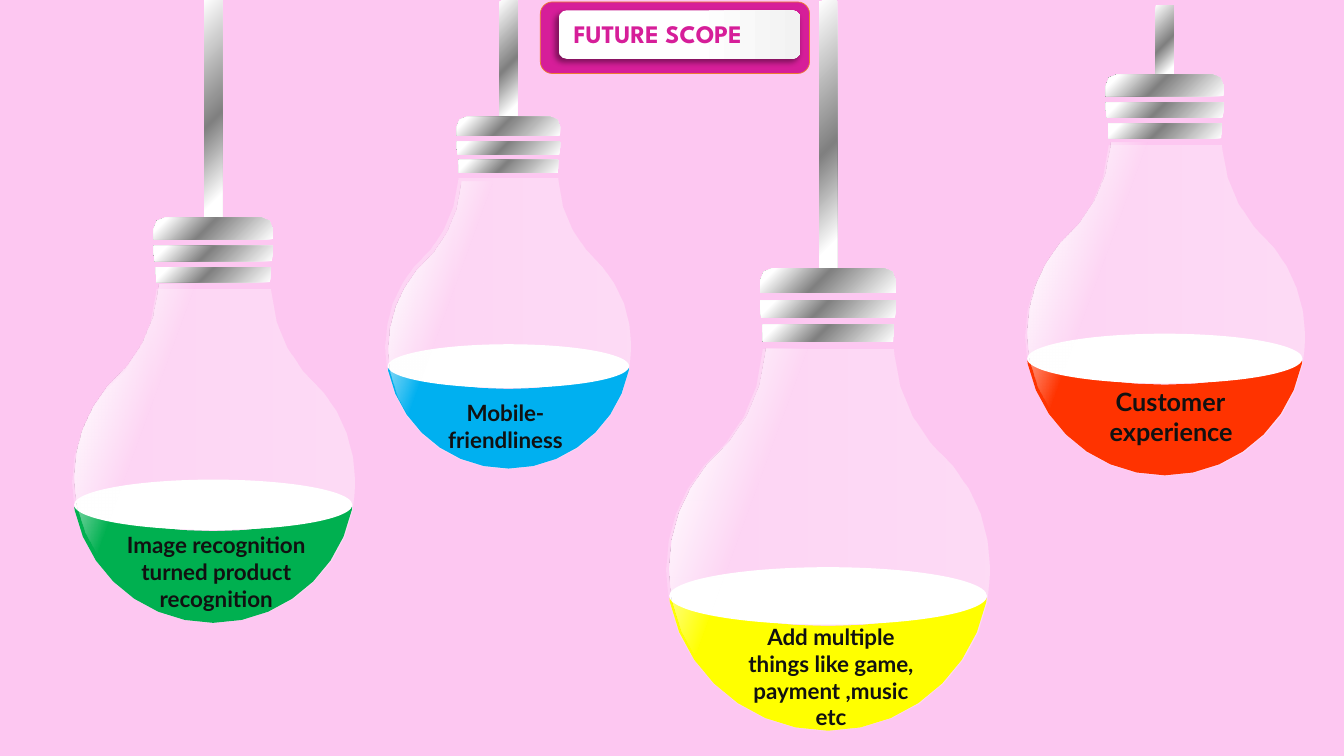
from dataclasses import dataclass
from math import dist

from pptx import Presentation
from pptx.dml.color import RGBColor
from pptx.enum.shapes import MSO_SHAPE
from pptx.enum.text import MSO_ANCHOR, MSO_AUTO_SIZE, PP_ALIGN
from pptx.oxml import parse_xml
from pptx.oxml.ns import nsdecls, qn
from pptx.util import Pt

RECTANGLE, ROUNDED, OVAL = MSO_SHAPE.RECTANGLE, MSO_SHAPE.ROUNDED_RECTANGLE, MSO_SHAPE.OVAL
LEFT, CENTER = PP_ALIGN.LEFT, PP_ALIGN.CENTER
TOP, NO_AUTOFIT = MSO_ANCHOR.TOP, MSO_AUTO_SIZE.NONE


@dataclass(frozen=True)
class Theme:
    background: str = "FDC7F1"
    accent: str = "D61E99"
    border: str = "ED7D31"
    text: str = "111111"
    white: str = "FFFFFF"
    body_font: str = "Lato"
    title_font: str = "League Spartan"
    body_size: int = 16
    title_size: int = 18
    # Gradient stops: position %, colour, opacity %
    metal: tuple = ((0, "FFFFFF", 100), (55, "808080", 100), (90, "FFFFFF", 100))
    glass: tuple = ((0, "FFFFFF", 37), (100, "FFFFFF", 24))
    shine: tuple = ((70, "FFFFFF", 0), (91, "FFFFFF", 100))
    plate: tuple = ((56, "FFFFFF", 100), (100, "F2F2F2", 100))


THEME = Theme()


@dataclass(frozen=True)
class Bulb:
    center: float
    rod_top: float
    cap_top: float
    width: float
    liquid: str
    label: str
    label_box: tuple
    shine_shift: float
    size: int = THEME.body_size
    align: int = CENTER


BULBS = (
    Bulb(152.3, -0.7, 155.5, 201.6, "00B050", "Image recognition turned product recognition",
         (59.8, 375.8, 189.4, 85), -3.5),
    Bulb(363.2, 0.7, 83.5, 175, "00B0F0", "Mobile-friendliness",
         (308.2, 281.5, 105.8, 65.5), 2),
    Bulb(591.5, 0.7, 191.5, 230.2, "FFFF00", "Add multiple things like game, payment ,music etc",
         (526.3, 441.4, 134.6, 104.4), -1),
    Bulb(832, 3.6, 53.3, 199.4, "FF3300", " Customer experience",
         (785.5, 272.2, 116.6, 51.1), -2, THEME.title_size, LEFT),
)

# Right halves of the bulb outlines, at the width below; a six-number step is a curve.
DESIGN_WIDTH = 201.6
GLASS_TOP = 51.1
BOWL = (48.6, 238.3, 89.6, 203.8, 99, 157.7)
GLASS = ((0, 238.3), BOWL, (100.1, 147.6), (100.8, 137.5),
         (100.8, 113, 92.2, 90.7, 77.4, 72.7), (63.4, 58.3),
         (51.1, 43.2, 42.5, 23.8, 41, 2.9), (40.7, 0))
LIQUID = ((0, 238.3), BOWL, (99.2, 155.5), (97.2, 156.2),
          (68.4, 167, 35.3, 172.8, 0, 172.8))
CAP_RINGS = (
    ((42.5, 15.5), (42.5, 7.9), (42.5, 3.5, 39, 0, 34.6, 0)),
    ((41.8, 31), (42.5, 25.2), (42.5, 20.2)),
    ((40.7, 46.1), (41, 35.3)),
)
CURVE_STEP = 18


def rgb(color):
    return RGBColor.from_string(color)


def paint(shape, fill, angle=0):
    """Fill with a colour or with gradient stops; no line, no shadow."""
    shape.shadow.inherit = False
    shape.line.fill.background()
    if isinstance(fill, str):
        shape.fill.solid()
        shape.fill.fore_color.rgb = rgb(fill)
        return
    stops = "".join(
        f'<a:gs pos="{position * 1000}"><a:srgbClr val="{color}">'
        f'<a:alpha val="{opacity * 1000}"/></a:srgbClr></a:gs>'
        for position, color, opacity in fill)
    shape.fill.gradient()
    properties = shape._element.spPr
    properties.replace(properties.find(qn("a:gradFill")), parse_xml(
        f'<a:gradFill {nsdecls("a")} rotWithShape="1"><a:gsLst>{stops}</a:gsLst>'
        f'<a:lin ang="{angle * 60000}" scaled="0"/></a:gradFill>'))


def add_preset(shapes, kind, box, fill, angle=0):
    shape = shapes.add_shape(kind, *map(Pt, box))
    paint(shape, fill, angle)
    return shape


def trace(half):
    """Turn a half outline into points, sampling its cubic curves."""
    points = [half[0]]
    for step in half[1:]:
        if len(step) == 2:
            points.append(step)
            continue
        controls = [points[-1], step[:2], step[2:4], step[4:]]
        count = max(2, round(dist(controls[0], controls[3]) / CURVE_STEP))
        for index in range(1, count + 1):
            t = index / count
            weights = ((1 - t) ** 3, 3 * t * (1 - t) ** 2, 3 * t * t * (1 - t), t ** 3)
            points.append(tuple(sum(weight * control[axis] for weight, control
                                    in zip(weights, controls)) for axis in (0, 1)))
    return points


def add_symmetric(shapes, half, center, top, scale, fill, angle=0):
    """Draw a half outline together with its mirror image."""
    right = trace(half)
    outline = right + [(-x, y) for x, y in reversed(right) if x > 0]
    points = [(Pt(center + x * scale), Pt(top + y * scale)) for x, y in outline]
    builder = shapes.build_freeform(*points[0], scale=1.0)
    builder.add_line_segments(points[1:], close=True)
    paint(builder.convert_to_shape(), fill, angle)


def write(shape, text, font_name, size, color, align):
    frame = shape.text_frame
    frame.word_wrap = True
    frame.auto_size = NO_AUTOFIT
    frame.vertical_anchor = TOP
    frame.margin_left = frame.margin_right = Pt(7.2)
    frame.margin_top = frame.margin_bottom = Pt(3.6)
    frame.text = text
    paragraph = frame.paragraphs[0]
    paragraph.alignment = align
    paragraph.line_spacing = 1.0
    font = paragraph.runs[0].font
    font.name, font.size, font.bold = font_name, Pt(size), True
    font.color.rgb = rgb(color)


def add_bulb(slide, bulb, rod_width=13):
    shapes = slide.shapes.add_group_shape().shapes
    scale = bulb.width / DESIGN_WIDTH
    center = bulb.center
    glass_top = bulb.cap_top + GLASS_TOP * scale
    add_preset(shapes, RECTANGLE, (center - rod_width / 2, bulb.rod_top, rod_width,
                                   bulb.cap_top - bulb.rod_top), THEME.metal, 45)
    add_symmetric(shapes, GLASS, center, glass_top, scale, THEME.glass, 180)
    for ring in CAP_RINGS:
        add_symmetric(shapes, ring, center, bulb.cap_top, scale, THEME.metal, 225)
    add_symmetric(shapes, LIQUID, center, glass_top, scale, bulb.liquid)
    add_preset(shapes, OVAL, (center - 99.4 * scale, glass_top + 136 * scale,
                              198.8 * scale, 36 * scale), THEME.white)
    add_symmetric(shapes, GLASS, center + 2, glass_top + bulb.shine_shift, scale,
                  THEME.shine, 200)
    label = shapes.add_textbox(*map(Pt, bulb.label_box))
    write(label, bulb.label, THEME.body_font, bulb.size, THEME.text, bulb.align)


def add_title_plate(slide, left, top, width, height):
    frame = add_preset(slide.shapes, ROUNDED, (left, top, width, height), THEME.accent)
    frame.line.color.rgb = rgb(THEME.border)
    frame.line.width = Pt(0.5)
    plate = add_preset(slide.shapes, ROUNDED, (left + 13, top + 6, width - 19.5, height - 16.5),
                       THEME.plate)
    plate._element.spPr.find(qn("a:effectLst")).append(parse_xml(
        f'<a:outerShdw {nsdecls("a")} blurRad="{Pt(4)}" dist="{Pt(3)}" dir="8100000" '
        'algn="tr" rotWithShape="0"><a:srgbClr val="000000"><a:alpha val="40000"/>'
        '</a:srgbClr></a:outerShdw>'))
    title = slide.shapes.title
    title.left, title.top, title.width, title.height = map(
        Pt, (left + 16.5, top + 8, width - 19.5, 29))
    write(title, "FUTURE SCOPE", THEME.title_font, THEME.title_size, THEME.accent, LEFT)
    plate._element.addnext(title._element)


def main():
    presentation = Presentation()
    presentation.slide_width, presentation.slide_height = Pt(960), Pt(540)
    slide = presentation.slides.add_slide(presentation.slide_layouts[5])
    slide.background.fill.solid()
    slide.background.fill.fore_color.rgb = rgb(THEME.background)
    for bulb in BULBS:
        add_bulb(slide, bulb)
    add_title_plate(slide, 386, 1.4, 192.3, 51.1)
    presentation.save("out.pptx")


if __name__ == "__main__":
    main()
